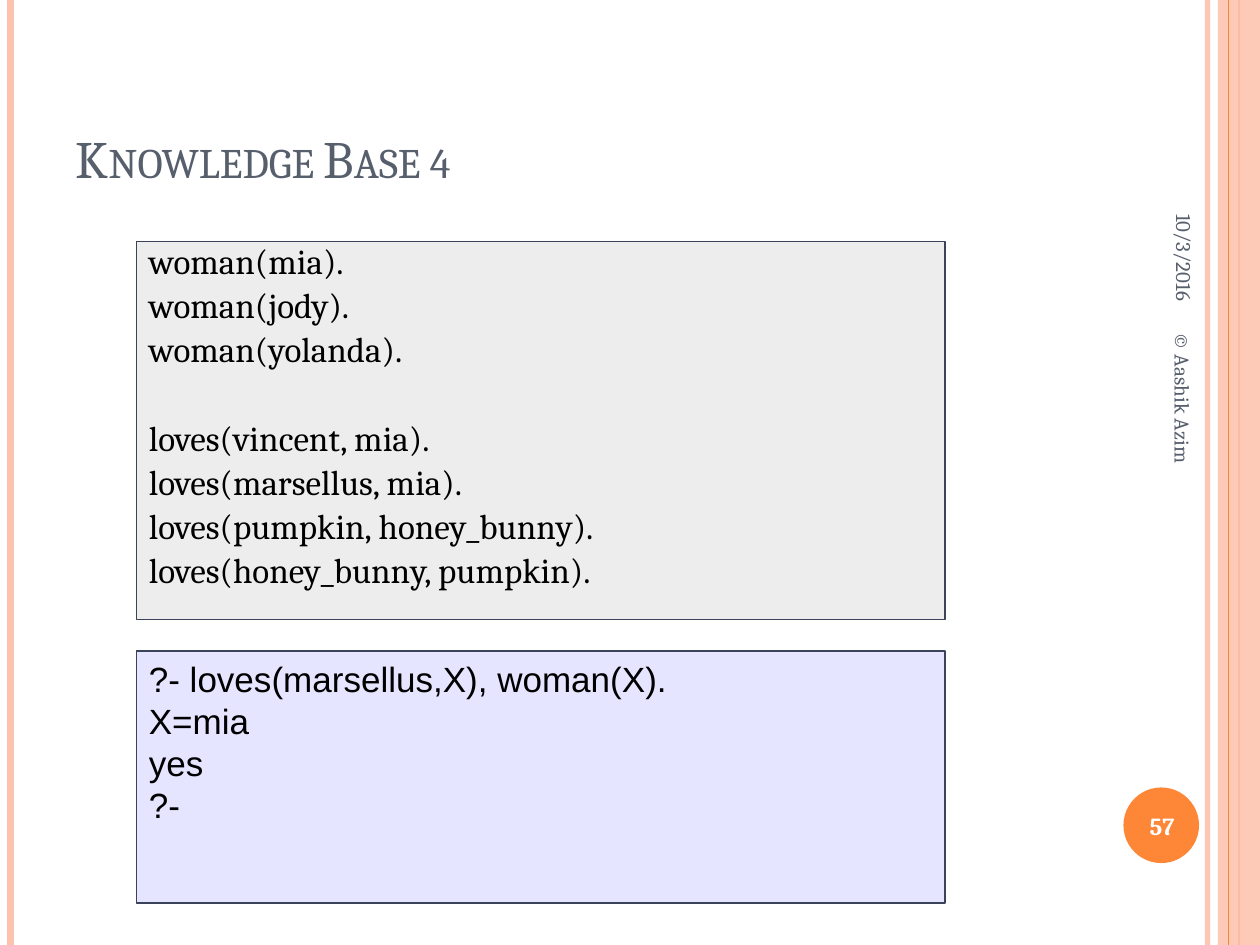
"""Build the Knowledge Base 4 slide with its facts box, query box and striped frame."""
from dataclasses import dataclass, field
from typing import Any, Optional

from lxml.etree import SubElement
from pptx import Presentation
from pptx.dml.color import RGBColor
from pptx.enum.shapes import MSO_CONNECTOR as Connector, MSO_SHAPE as Shape
from pptx.enum.text import MSO_ANCHOR as Anchor, PP_ALIGN as Align
from pptx.oxml.ns import qn
from pptx.util import Pt

PEACH = RGBColor(0xFE, 0xC3, 0xAE)
ORANGE = RGBColor(0xFE, 0x86, 0x37)
SLATE = RGBColor(0x57, 0x5F, 0x6D)
NAVY = RGBColor(0x3B, 0x43, 0x5B)
GREY = RGBColor(0xDD, 0xDD, 0xDD)
LAVENDER = RGBColor(0xCC, 0xCC, 0xFF)
BLACK = RGBColor(0, 0, 0)
WHITE = RGBColor(0xFF, 0xFF, 0xFF)

PAGE_WIDTH, PAGE_HEIGHT = 720, 540
FACT_GROUPS = (
    ("woman(mia).", "woman(jody).", "woman(yolanda)."),
    (
        "loves(vincent, mia).",
        "loves(marsellus, mia).",
        "loves(pumpkin, honey_bunny).",
        "loves(honey_bunny, pumpkin).",
    ),
)
QUERY = ("?- loves(marsellus,X), woman(X).", "X=mia", "yes", "?-")
LINE_GAP, GROUP_GAP = Pt(6), Pt(31.25)


@dataclass(frozen=True)
class Stripe:
    x: float
    width: float
    color: RGBColor
    opacity: int = 100


@dataclass(frozen=True)
class Panel:
    kind: Shape
    frame: tuple[float, float, float, float]
    fill: RGBColor
    opacity: int = 100
    border: Optional[RGBColor] = None


@dataclass(frozen=True)
class Label:
    text: str
    frame: tuple[float, float, float, float]
    size: float
    color: RGBColor = SLATE
    anchor: Anchor = Anchor.MIDDLE
    align: Align = Align.LEFT
    rotation: float = 0
    bold: bool = False
    small_caps: bool = False


@dataclass(frozen=True)
class Line:
    text: str
    format: dict[str, Any] = field(default_factory=dict)


STRIPES_BELOW = (
    Stripe(690, 3, PEACH, 93),
    Stripe(6, 4.5, PEACH),
    Stripe(708, 1.5, ORANGE),
)
BAND = Panel(Shape.RECTANGLE, (696, 0, 24, PAGE_HEIGHT), PEACH, 87)
STRIPE_ABOVE = Stripe(702, 0.75, ORANGE)
BADGE = Panel(Shape.OVAL, (642, 450, 43.2, 43.2), ORANGE)
FACTS_PANEL = Panel(Shape.RECTANGLE, (78, 138, 462, 216), GREY, 50, NAVY)
QUERY_PANEL = Panel(Shape.RECTANGLE, (78, 372, 462, 144), LAVENDER, 50, NAVY)
LABELS = (
    Label("Knowledge Base 4", (36, 21.6, 588, 90), 30, anchor=Anchor.BOTTOM, small_caps=True),
    Label("10/3/2016", (597.6, 85, 158.4, 30), 12, align=Align.RIGHT, rotation=90),
    Label("© Aashik Azim", (550, 294.5, 252, 28.8), 12, rotation=90),
    Label("57", (640, 451.4, 48, 41), 14, WHITE, align=Align.CENTER, bold=True),
)


def apply_format(target: Any, values: dict[str, Any]) -> None:
    """Set each named value on the target."""
    for name, value in values.items():
        setattr(target, name, value)


def set_opacity(shape: Any, percent: int) -> None:
    """Make the first solid colour of a shape or connector partly transparent."""
    if percent < 100:
        color = next(shape.element.spPr.iter(qn("a:srgbClr")))
        SubElement(color, qn("a:alpha"), val=str(percent * 1000))


def add_stripe(page: Any, stripe: Stripe) -> None:
    """Draw a full-height vertical line."""
    x = Pt(stripe.x)
    line = page.shapes.add_connector(Connector.STRAIGHT, x, 0, x, Pt(PAGE_HEIGHT))
    line.line.width = Pt(stripe.width)
    line.line.color.rgb = stripe.color
    set_opacity(line, stripe.opacity)
    SubElement(line.element.spPr, qn("a:effectLst"))


def add_panel(page: Any, panel: Panel) -> Any:
    """Draw a filled shape, with a border where one is given."""
    shape = page.shapes.add_shape(panel.kind, *map(Pt, panel.frame))
    shape.shadow.inherit = False
    shape.fill.solid()
    shape.fill.fore_color.rgb = panel.fill
    set_opacity(shape, panel.opacity)
    if panel.border is None:
        shape.line.fill.background()
    else:
        shape.line.color.rgb = panel.border
        shape.line.width = Pt(0.75)
    return shape


def add_label(page: Any, label: Label) -> None:
    """Draw a one-line text box."""
    box = page.shapes.add_textbox(*map(Pt, label.frame))
    box.rotation = label.rotation
    apply_format(box.text_frame, {"word_wrap": True, "vertical_anchor": label.anchor})
    para = box.text_frame.paragraphs[0]
    para.alignment = label.align
    span = para.add_run()
    span.text = label.text
    apply_format(span.font, {"name": "Cambria", "size": Pt(label.size), "bold": label.bold})
    span.font.color.rgb = label.color
    if label.small_caps:
        span.font._element.set("cap", "small")


def write_lines(box: Any, lines: list[Line], font_name: str) -> None:
    """Fill a panel with left-aligned lines of code."""
    frame = box.text_frame
    apply_format(frame, {"word_wrap": True, "vertical_anchor": Anchor.TOP})
    for index, line in enumerate(lines):
        para = frame.add_paragraph() if index else frame.paragraphs[0]
        apply_format(para, {"alignment": Align.LEFT, **line.format})
        span = para.add_run()
        span.text = line.text
        apply_format(span.font, {"name": font_name, "size": Pt(20)})
        span.font.color.rgb = BLACK


def fact_lines() -> list[Line]:
    """Space the facts evenly, with a wider gap between groups."""
    lines = []
    for group in FACT_GROUPS:
        for index, text in enumerate(group):
            gap = LINE_GAP if index else GROUP_GAP
            space = gap if lines else Pt(0)
            lines.append(Line(text, {"line_spacing": 0.8, "space_before": space}))
    return lines


def main() -> None:
    """Build and save the deck."""
    deck = Presentation()
    apply_format(deck, {"slide_width": Pt(PAGE_WIDTH), "slide_height": Pt(PAGE_HEIGHT)})
    page = deck.slides.add_slide(deck.slide_layouts[6])
    for stripe in STRIPES_BELOW:
        add_stripe(page, stripe)
    add_panel(page, BAND)
    add_stripe(page, STRIPE_ABOVE)
    add_panel(page, BADGE)
    write_lines(add_panel(page, FACTS_PANEL), fact_lines(), "Cambria")
    query_lines = [Line(text, {"line_spacing": Pt(24)}) for text in QUERY]
    write_lines(add_panel(page, QUERY_PANEL), query_lines, "Arial")
    for label in LABELS:
        add_label(page, label)
    deck.save("out.pptx")


if __name__ == "__main__":
    main()
